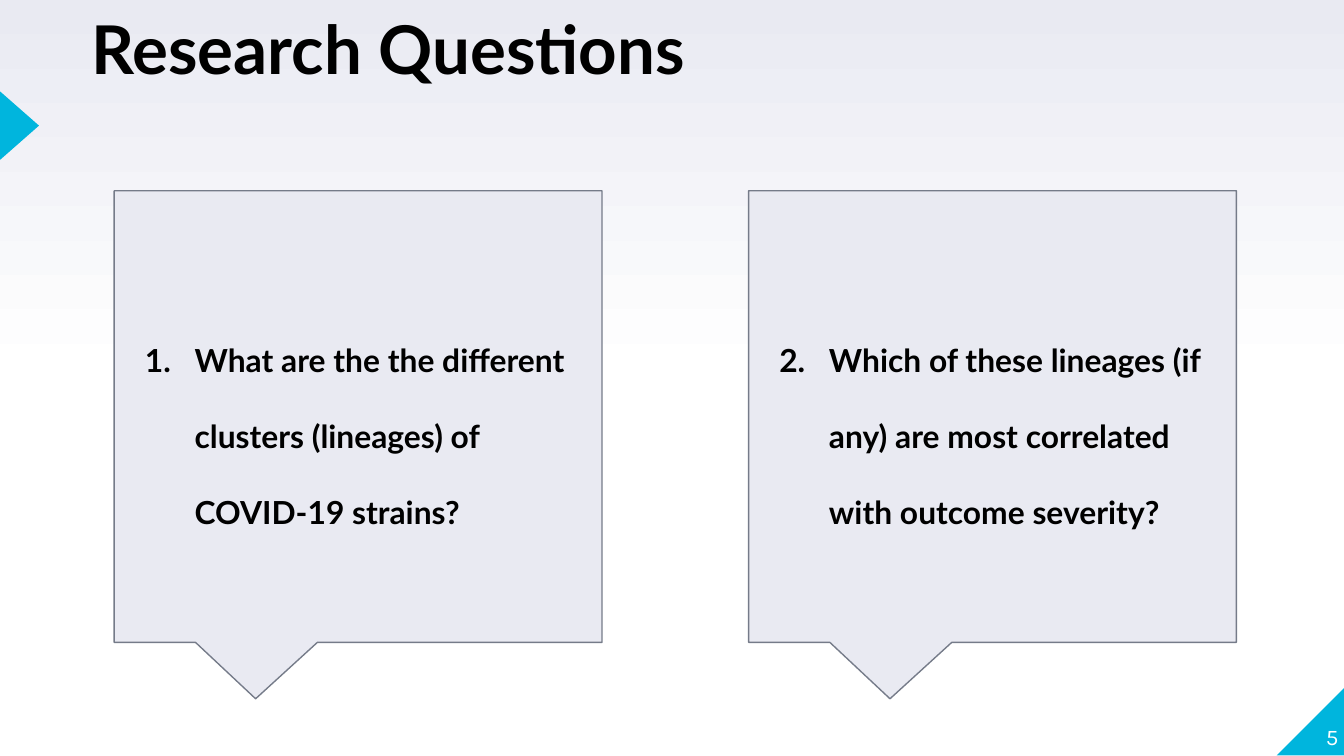
from dataclasses import dataclass

from lxml.etree import SubElement
from pptx import Presentation
from pptx.dml.color import RGBColor
from pptx.enum.shapes import MSO_SHAPE as SHAPE
from pptx.enum.text import MSO_ANCHOR as ANCHOR, PP_ALIGN as ALIGN
from pptx.oxml.ns import qn
from pptx.util import Inches, Pt


@dataclass(frozen=True)
class Theme:
    accent: str = "00B5DD"
    panel: str = "E9EAF2"
    outline: str = "757B89"
    ink: str = "000000"
    white: str = "FFFFFF"
    body_font: str = "Lato"
    number_font: str = "Karla"
    title_size: float = 36
    body_size: float = 17
    number_size: float = 12


def rgb(value):
    return RGBColor.from_string(value)


def write(s, text, *, font, size, color, bold=False, align=ALIGN.LEFT,
          anchor=ANCHOR.TOP, inset=0, spacing=1.0):
    tf = s.text_frame
    tf.word_wrap = True
    tf.vertical_anchor = anchor
    tf.margin_left = tf.margin_right = Inches(inset)
    tf.margin_top = tf.margin_bottom = Inches(inset)
    p = tf.paragraphs[0]
    p.alignment = align
    p.line_spacing = spacing
    r = p.add_run()
    r.text = text
    r.font.name = font
    r.font.size = Pt(size)
    r.font.bold = bold
    r.font.color.rgb = rgb(color)
    return p


def number_paragraph(p, start, color, indent=0.5, hanging=0.37):
    pPr = p._p.get_or_add_pPr()
    pPr.set("marL", str(Inches(indent)))
    pPr.set("indent", str(-Inches(hanging)))
    SubElement(SubElement(pPr, qn("a:buClr")), qn("a:srgbClr"), val=color)
    SubElement(pPr, qn("a:buAutoNum"), type="arabicPeriod", startAt=str(start))


class SlideBuilder:
    def __init__(self, prs, theme):
        self.theme = theme
        self.slide = prs.slides.add_slide(prs.slide_layouts[6])

    def background(self):
        """Fade from white at mid-height to the panel colour at the top."""
        fill = self.slide.background.fill
        fill.gradient()
        fill.gradient_angle = 90
        stops = ((0.5, self.theme.white), (1, self.theme.panel))
        for stop, (position, color) in zip(fill.gradient_stops, stops):
            stop.position = position
            stop.color.rgb = rgb(color)

    def shape(self, kind, box, fill, line=None):
        s = self.slide.shapes.add_shape(kind, *map(Inches, box))
        s.shadow.inherit = False
        s.fill.solid()
        s.fill.fore_color.rgb = rgb(fill)
        if line:
            s.line.color.rgb = rgb(line)
            s.line.width = Pt(0.75)
        else:
            s.line.fill.background()
        return s

    def text(self, text, box, **style):
        s = self.slide.shapes.add_textbox(*map(Inches, box))
        write(s, text, **style)

    def corner(self, box):
        s = self.shape(SHAPE.RIGHT_TRIANGLE, box, self.theme.accent)
        s._element.spPr.xfrm.set("flipH", "1")

    def edge_marker(self, box):
        s = self.shape(SHAPE.ISOSCELES_TRIANGLE, box, self.theme.accent)
        s.rotation = 90

    def question(self, number, text, box):
        t = self.theme
        s = self.shape(SHAPE.ROUNDED_RECTANGULAR_CALLOUT, box, t.panel, t.outline)
        for i, value in enumerate((-0.21, 0.625, 0)):
            s.adjustments[i] = value
        p = write(s, text, font=t.body_font, size=t.body_size, color=t.ink,
                  bold=True, anchor=ANCHOR.MIDDLE, inset=0.1, spacing=2.0)
        number_paragraph(p, number, t.ink)


def main():
    theme = Theme()
    prs = Presentation()
    prs.slide_width = Inches(10)
    prs.slide_height = Inches(10 * 9 / 16)

    page = SlideBuilder(prs, theme)
    page.background()
    page.corner((9.5, 5.11, 0.51, 0.51))
    page.edge_marker((-0.11, 0.79, 0.51, 0.29))

    questions = (
        "What are the the different clusters (lineages) of COVID-19 strains?",
        "Which of these lineages (if any) are most correlated with outcome severity?",
    )
    left, pitch = 0.85, 4.72
    for i, question in enumerate(questions):
        page.question(i + 1, question, (left + i * pitch, 1.42, 3.63, 3.36))

    page.text("Research Questions", (0.68, 0.17, 8.41, 0.59),
              font=theme.body_font, size=theme.title_size, color=theme.ink,
              bold=True, spacing=0.8)
    page.text("5", (9.46, 5.07, 0.5, 0.51), font=theme.number_font,
              size=theme.number_size, color=theme.white, align=ALIGN.RIGHT,
              anchor=ANCHOR.BOTTOM)
    prs.save("out.pptx")


if __name__ == "__main__":
    main()
